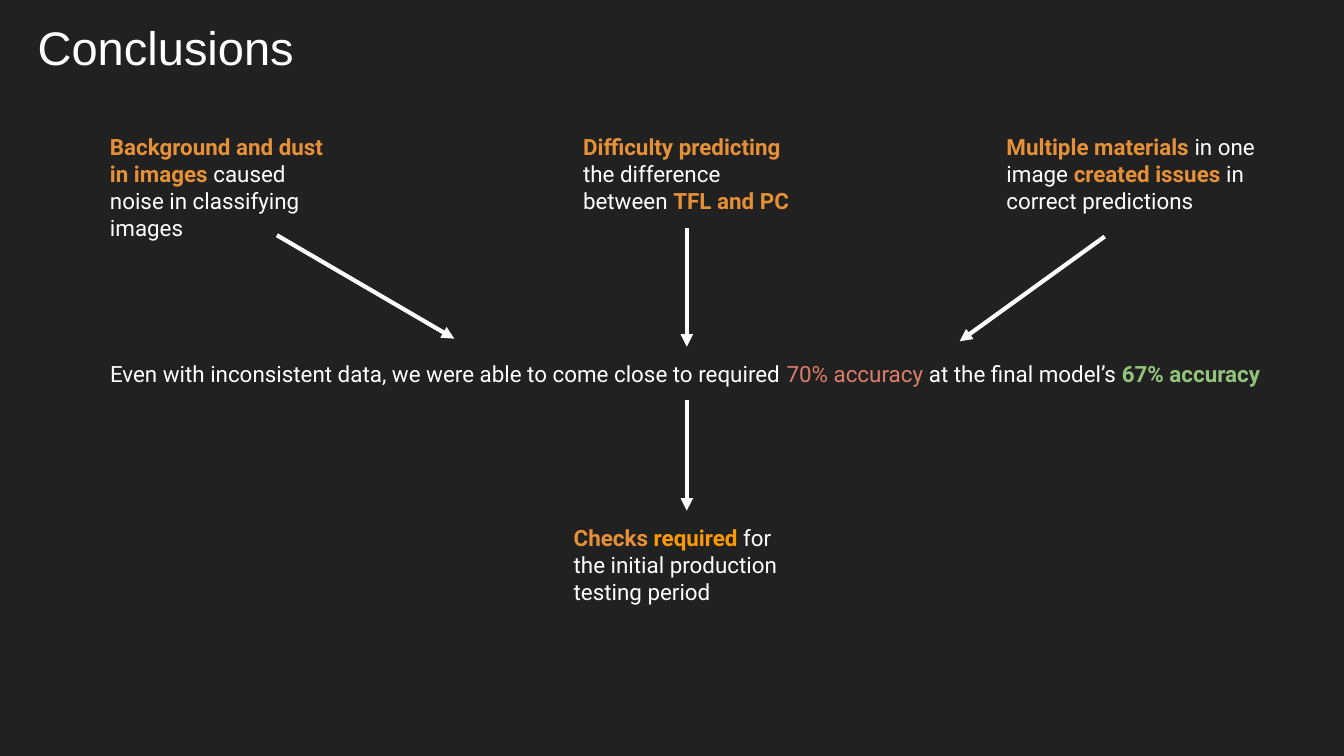
from typing import NamedTuple

from lxml.etree import SubElement
from pptx import Presentation
from pptx.dml.color import RGBColor
from pptx.enum.shapes import MSO_CONNECTOR
from pptx.enum.text import MSO_ANCHOR, MSO_AUTO_SIZE, PP_ALIGN
from pptx.oxml.ns import qn
from pptx.shapes.autoshape import Shape
from pptx.shapes.connector import Connector
from pptx.text.text import TextFrame
from pptx.util import Inches, Pt

BACKGROUND, WHITE = "212121", "FFFFFF"
ORANGE, AMBER, RED, GREEN = "E69138", "FF9900", "DD7E6B", "93C47D"
TOP_SIDE, BOTTOM_SIDE = 0, 2
ISSUE_TOP = 0.89


class Span(NamedTuple):
    text: str
    color: str = WHITE
    bold: bool = False


class Statement(NamedTuple):
    left: float
    top: float
    width: float
    height: float
    spans: list[Span]


def rgb(color: str) -> RGBColor:
    return RGBColor.from_string(color)


def add_span(frame: TextFrame, span: Span, font: str, size: float) -> None:
    run = frame.paragraphs[0].add_run()
    run.text = span.text
    run.font.name = font
    run.font.size = Pt(size)
    run.font.bold = span.bold
    run.font.color.rgb = rgb(span.color)


def set_insets(frame: TextFrame) -> None:
    frame.margin_left = frame.margin_right = Inches(0.1)
    frame.margin_top = frame.margin_bottom = Inches(0.1)
    frame.word_wrap = True


def add_statement(statement: Statement) -> Shape:
    box = slide.shapes.add_textbox(*(Inches(v) for v in statement[:4]))
    frame = box.text_frame
    set_insets(frame)
    frame.auto_size = MSO_AUTO_SIZE.SHAPE_TO_FIT_TEXT
    for span in statement.spans:
        add_span(frame, span, "Roboto", 12)
    return box


def add_arrow(x1: float = 0, y1: float = 0, x2: float = 0, y2: float = 0) -> Connector:
    arrow = slide.shapes.add_connector(
        MSO_CONNECTOR.STRAIGHT, Inches(x1), Inches(y1), Inches(x2), Inches(y2))
    arrow.line.color.rgb = rgb(WHITE)
    arrow.line.width = Pt(2.25)
    SubElement(arrow.line._get_or_add_ln(), qn("a:tailEnd"), type="triangle")
    SubElement(arrow._element.spPr, qn("a:effectLst"))
    return arrow


def join_down(upper: Shape, lower: Shape) -> None:
    arrow = add_arrow()
    arrow.begin_connect(upper, BOTTOM_SIDE)
    arrow.end_connect(lower, TOP_SIDE)


# Slide (16:9) and background
prs = Presentation()
prs.slide_width = Inches(10)
prs.slide_height = prs.slide_width * 9 // 16
slide = prs.slides.add_slide(prs.slide_layouts[5])
slide.background.fill.solid()
slide.background.fill.fore_color.rgb = rgb(BACKGROUND)

# Title
title = slide.shapes.title
title.left, title.top = Inches(0.18), Inches(0.04)
title.width, title.height = Inches(9.32), Inches(0.63)
set_insets(title.text_frame)
title.text_frame.auto_size = MSO_AUTO_SIZE.NONE
title.text_frame.vertical_anchor = MSO_ANCHOR.TOP
title.text_frame.paragraphs[0].alignment = PP_ALIGN.LEFT
add_span(title.text_frame, Span("Conclusions"), "Arial", 25.2)

# Three issues
add_statement(Statement(0.72, ISSUE_TOP, 1.87, 1.01, [
    Span("Background and dust in images", ORANGE, True),
    Span(" caused noise in classifying images")]))
prediction_issue = add_statement(Statement(4.24, ISSUE_TOP, 1.74, 0.81, [
    Span("Difficulty predicting ", ORANGE, True),
    Span("the difference between "),
    Span("TFL and PC", ORANGE, True)]))
add_statement(Statement(7.39, ISSUE_TOP, 2.11, 0.81, [
    Span("Multiple materials", ORANGE, True),
    Span(" in one image "),
    Span("created issues", ORANGE, True),
    Span(" in correct predictions")]))

# Result and next step
result = add_statement(Statement(0.72, 2.58, 8.78, 0.4, [
    Span("Even with inconsistent data, we were able to come close to required "),
    Span("70% accuracy", RED),
    Span(" at the final model’s "),
    Span("67% accuracy", GREEN, True)]))
checks = add_statement(Statement(4.17, 3.8, 1.88, 0.81, [
    Span("Checks ", ORANGE, True),
    Span("required", AMBER, True),
    Span(" for the initial production testing period")]))

# Arrows from the issues to the result, and on to the checks
add_arrow(2.06, 1.75, 3.38, 2.52)
join_down(prediction_issue, result)
add_arrow(8.22, 1.76, 7.14, 2.54)
join_down(result, checks)

prs.save("out.pptx")
